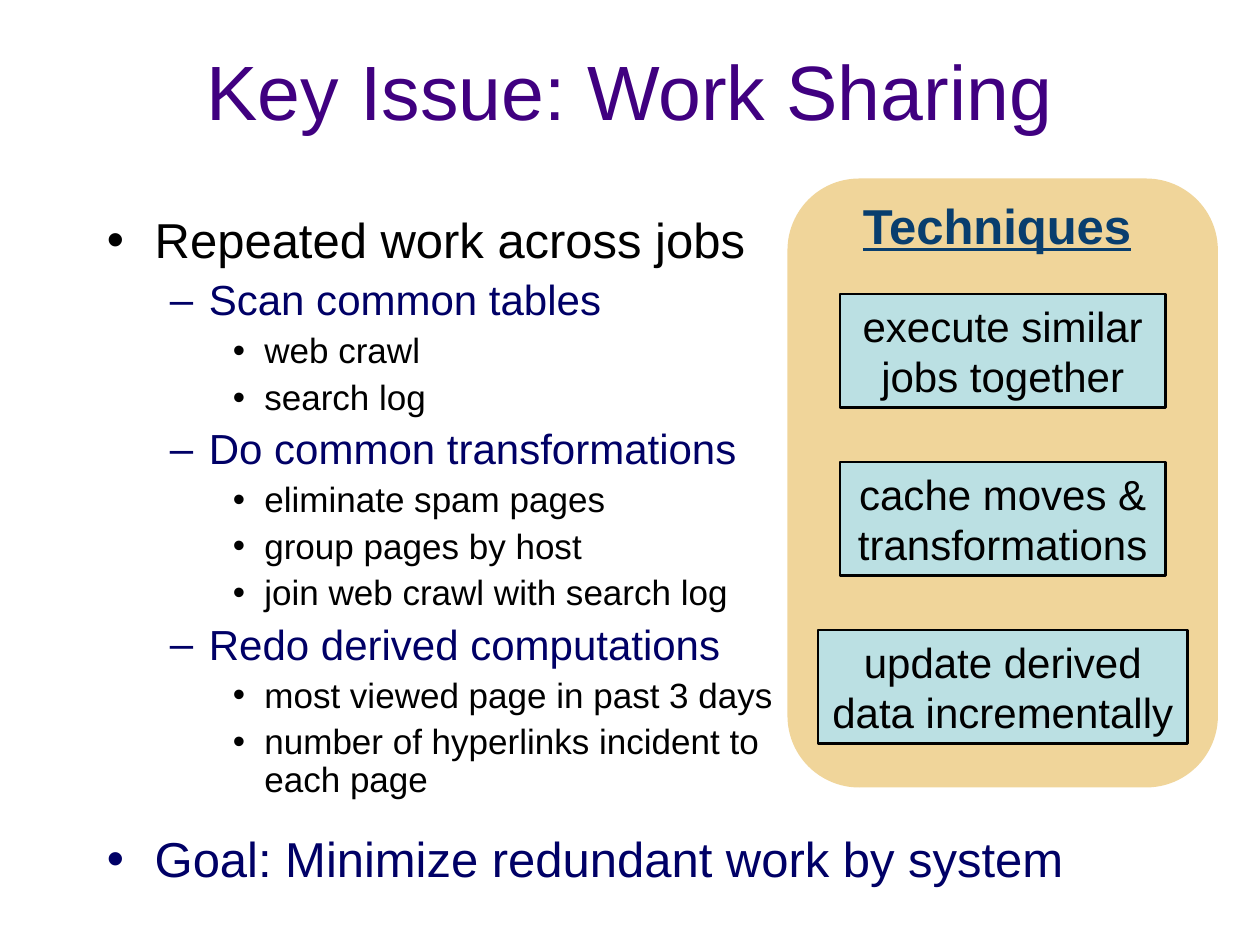
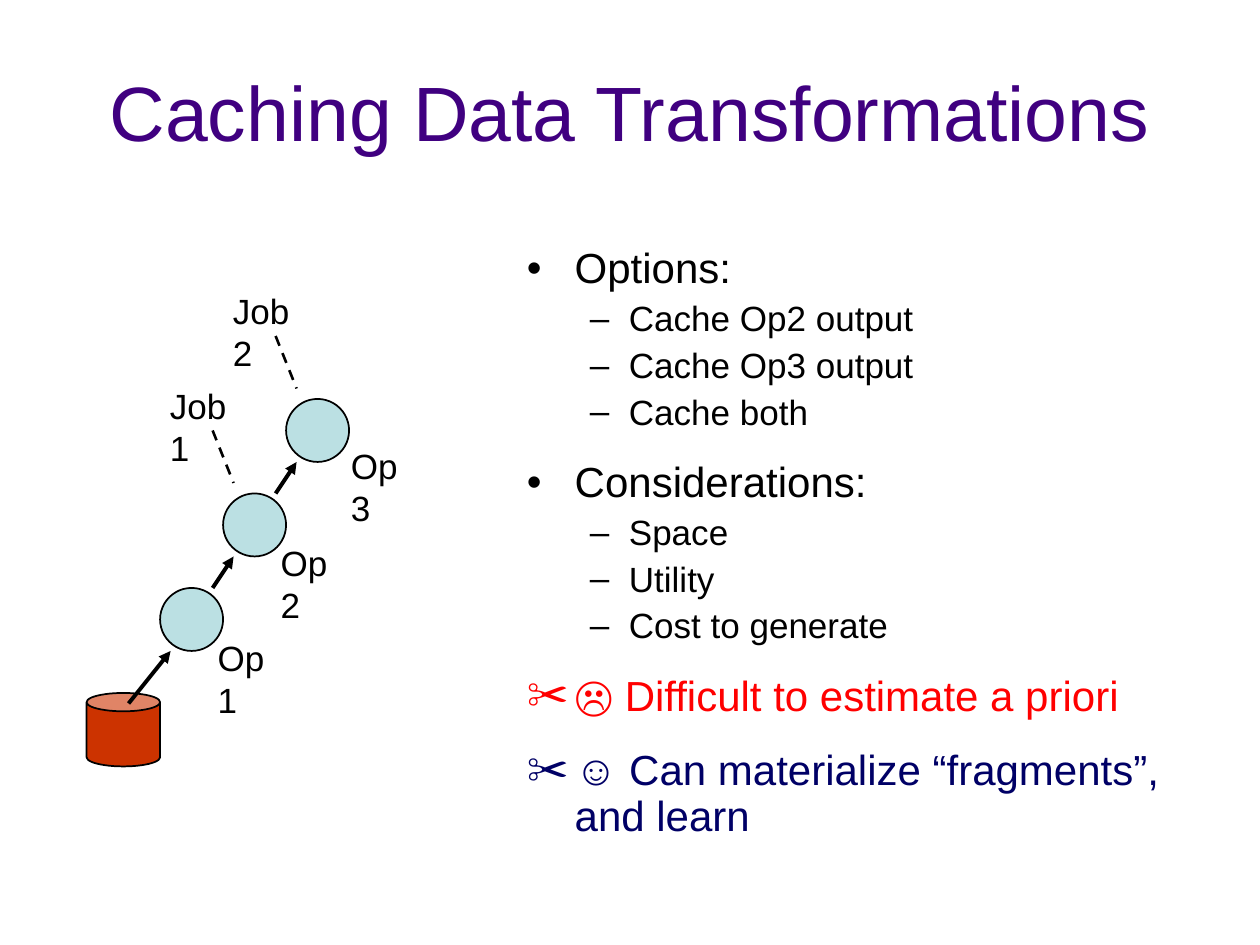
from collections import namedtuple
from dataclasses import dataclass

from lxml import etree
from pptx import Presentation
from pptx.dml.color import RGBColor
from pptx.enum.dml import MSO_LINE
from pptx.enum.shapes import MSO_CONNECTOR, MSO_SHAPE
from pptx.enum.text import MSO_ANCHOR, MSO_AUTO_SIZE, PP_ALIGN
from pptx.oxml.ns import qn
from pptx.util import Inches, Pt

LEFT, CENTER = PP_ALIGN.LEFT, PP_ALIGN.CENTER
TOP, MIDDLE = MSO_ANCHOR.TOP, MSO_ANCHOR.MIDDLE
FIXED = MSO_AUTO_SIZE.NONE
RECT, PANEL = MSO_SHAPE.RECTANGLE, MSO_SHAPE.ROUNDED_RECTANGLE
CIRCLE, CYLINDER = MSO_SHAPE.OVAL, MSO_SHAPE.CAN
STRAIGHT, DASH = MSO_CONNECTOR.STRAIGHT, MSO_LINE.DASH
TITLE_ONLY = 5

WIDTH, HEIGHT = Inches(10), Inches(7.5)
COLS, ROWS = 120, 90


@dataclass(frozen=True)
class Theme:
    font: str = "Arial"
    title: str = "400080"
    text: str = "000000"
    accent: str = "000066"
    warning: str = "FF0000"
    heading: str = "093E6E"
    panel: str = "F0D59A"
    box: str = "BBE0E3"
    data: str = "CC3300"
    title_size: int = 44
    large: int = 28
    medium: int = 24
    small: int = 20


THEME = Theme()
Box = namedtuple("Box", "x y w h")
Item = namedtuple("Item", "text level size color bullet before")

# Left margin and hanging indent of each outline level, in inches
INDENTS = [(0.38, -0.38), (0.81, -0.31), (1.25, -0.25)]


def col(n):
    return round(WIDTH * n / COLS)


def row(n):
    return round(HEIGHT * n / ROWS)


def place(box):
    return col(box.x), row(box.y), col(box.w), row(box.h)


def inside(parent, x, y, w=0, h=0):
    """Box whose corner is measured from the corner of its parent."""
    return Box(parent.x + x, parent.y + y, w, h)


def rgb(value):
    return RGBColor.from_string(value)


def style(p, size, color, align=LEFT, bold=False, underline=False):
    p.alignment = align
    for r in p.runs:
        font = r.font
        font.name, font.size = THEME.font, Pt(size)
        font.color.rgb = rgb(color)
        font.bold, font.underline = bold, underline


def add_title(slide, text, box):
    sp = slide.shapes.title
    sp.left, sp.top, sp.width, sp.height = place(box)
    tf = sp.text_frame
    tf.text = text
    tf.auto_size, tf.vertical_anchor = FIXED, MIDDLE
    style(tf.paragraphs[0], THEME.title_size, THEME.title, CENTER)


def add_label(slide, text, box, size=THEME.small, color=THEME.text, **emphasis):
    tf = slide.shapes.add_textbox(*place(box)).text_frame
    tf.text = text
    tf.word_wrap = False
    style(tf.paragraphs[0], size, color, **emphasis)


def add_solid(slide, kind, box, fill, line_width=0):
    sp = slide.shapes.add_shape(kind, *place(box))
    sp.shadow.inherit = False
    sp.fill.solid()
    sp.fill.fore_color.rgb = rgb(fill)
    if line_width:
        sp.line.color.rgb = rgb(THEME.text)
        sp.line.width = Pt(line_width)
    else:
        sp.line.fill.background()
    return sp


def add_line(slide, start, end, width, dash=None, arrow=False):
    line = slide.shapes.add_connector(
        STRAIGHT, col(start.x), row(start.y), col(end.x), row(end.y))
    line.line.color.rgb = rgb(THEME.text)
    line.line.width = Pt(width)
    if dash:
        line.line.dash_style = dash
    props = line._element.spPr
    if arrow:
        etree.SubElement(props.find(qn("a:ln")), qn("a:tailEnd"), type="triangle")
    etree.SubElement(props, qn("a:effectLst"))


def set_bullet(p, item):
    margin, indent = INDENTS[item.level]
    props = p._p.get_or_add_pPr()
    props.set("marL", str(Inches(margin)))
    props.set("indent", str(Inches(indent)))
    color = etree.SubElement(props, qn("a:buClr"))
    etree.SubElement(color, qn("a:srgbClr"), val=item.color)
    etree.SubElement(props, qn("a:buFont"), typeface=THEME.font)
    etree.SubElement(props, qn("a:buChar"), char=item.bullet)


def add_outline(slide, items, box):
    tf = slide.shapes.add_textbox(*place(box)).text_frame
    tf.word_wrap, tf.vertical_anchor = True, TOP
    for i, item in enumerate(items):
        p = tf.add_paragraph() if i else tf.paragraphs[0]
        p.text = item.text
        p.level = item.level
        set_bullet(p, item)
        p.line_spacing = 0.9
        p.space_before = Pt(item.before if i else 0)
        style(p, item.size, item.color)


def add_techniques(slide, box):
    add_solid(slide, PANEL, box, THEME.panel)
    add_label(slide, "Techniques", inside(box, 6, 1, 28.3, 6.8),
              THEME.large, THEME.heading, bold=True, underline=True)
    techniques = [("execute similar jobs together", 31),
                  ("cache moves & transformations", 31),
                  ("update derived data incrementally", 35.2)]
    for i, (text, width) in enumerate(techniques):
        cell = inside(box, (box.w - width) / 2, 11 + 16 * i, width, 10.8)
        tf = add_solid(slide, RECT, cell, THEME.box, 1.5).text_frame
        tf.text = text
        tf.word_wrap, tf.vertical_anchor = True, TOP
        style(tf.paragraphs[0], THEME.medium, THEME.text, CENTER)


def add_pipeline(slide, box):
    """Data store feeding a rising chain of operators, with jobs tapping it."""
    add_solid(slide, CYLINDER, inside(box, 0, 39, 7, 7), THEME.data, 1)
    source = inside(box, 4, 40)
    # operator, label column and row, job that reads its output
    operators = [("Op1", 4.3, 4, None),
                 ("Op2", 4.3, 4, "Job 1"),
                 ("Op3", 5, 3.75, "Job 2")]
    for i, (name, dx, dy, job) in enumerate(operators):
        op = inside(box, 7 + 6 * i, 29 - 9 * i, 6, 6)
        add_solid(slide, CIRCLE, op, THEME.box, 1)
        add_label(slide, name, inside(op, dx, dy, 8.6, 5.3))
        add_line(slide, source, inside(op, 1, 6), 2.25, arrow=True)
        source = inside(op, 5, 0)
        if job:
            add_label(slide, job, inside(op, -6.25, -11, 10.5, 5.3))
            add_line(slide, inside(op, -1, -6), inside(op, 1, -1), 1.5, dash=DASH)


def sharing_slide(prs):
    def head(text, color, before=7):
        return Item(text, 0, THEME.large, color, "•", before)

    def group(text, *details):
        return [Item(text, 1, THEME.medium, THEME.accent, "–", 6)] + [
            Item(d, 2, THEME.small, THEME.text, "•", 5) for d in details]

    slide = prs.slides.add_slide(prs.slide_layouts[TITLE_ONLY])
    add_title(slide, "Key Issue: Work Sharing", Box(9, 1, 102, 15))
    add_techniques(slide, Box(75, 17, 41, 58))
    items = [
        head("Repeated work across jobs", THEME.text),
        *group("Scan common tables", "web crawl", "search log"),
        *group("Do common transformations", "eliminate spam pages",
               "group pages by host", "join web crawl with search log"),
        *group("Redo derived computations", "most viewed page in past 3 days",
               "number of hyperlinks incident to\veach page"),
        head("Goal: Minimize redundant work by system", THEME.accent, 20),
    ]
    add_outline(slide, items, Box(9, 20, 102, 66))


def caching_slide(prs):
    def head(text, color=THEME.text, bullet="•"):
        return Item(text, 0, THEME.medium, color, bullet, 16.5)

    def group(text, *details):
        return [head(text)] + [
            Item(d, 1, THEME.small, THEME.text, "–", 5) for d in details]

    slide = prs.slides.add_slide(prs.slide_layouts[TITLE_ONLY])
    add_title(slide, "Caching Data Transformations", Box(9, 3, 102, 15))
    items = [
        *group("Options:", "Cache Op2 output", "Cache Op3 output", "Cache both"),
        *group("Considerations:", "Space", "Utility", "Cost to generate"),
        head("☹ Difficult to estimate a priori", THEME.warning, "✂"),
        head("☺ Can materialize “fragments”, and learn", THEME.accent, "✂"),
    ]
    add_outline(slide, items, Box(49, 23, 65, 59))
    add_pipeline(slide, Box(8.25, 27, 32.7, 46))


def main():
    prs = Presentation()
    prs.slide_width, prs.slide_height = WIDTH, HEIGHT
    sharing_slide(prs)
    caching_slide(prs)
    prs.save("out.pptx")


if __name__ == "__main__":
    main()
